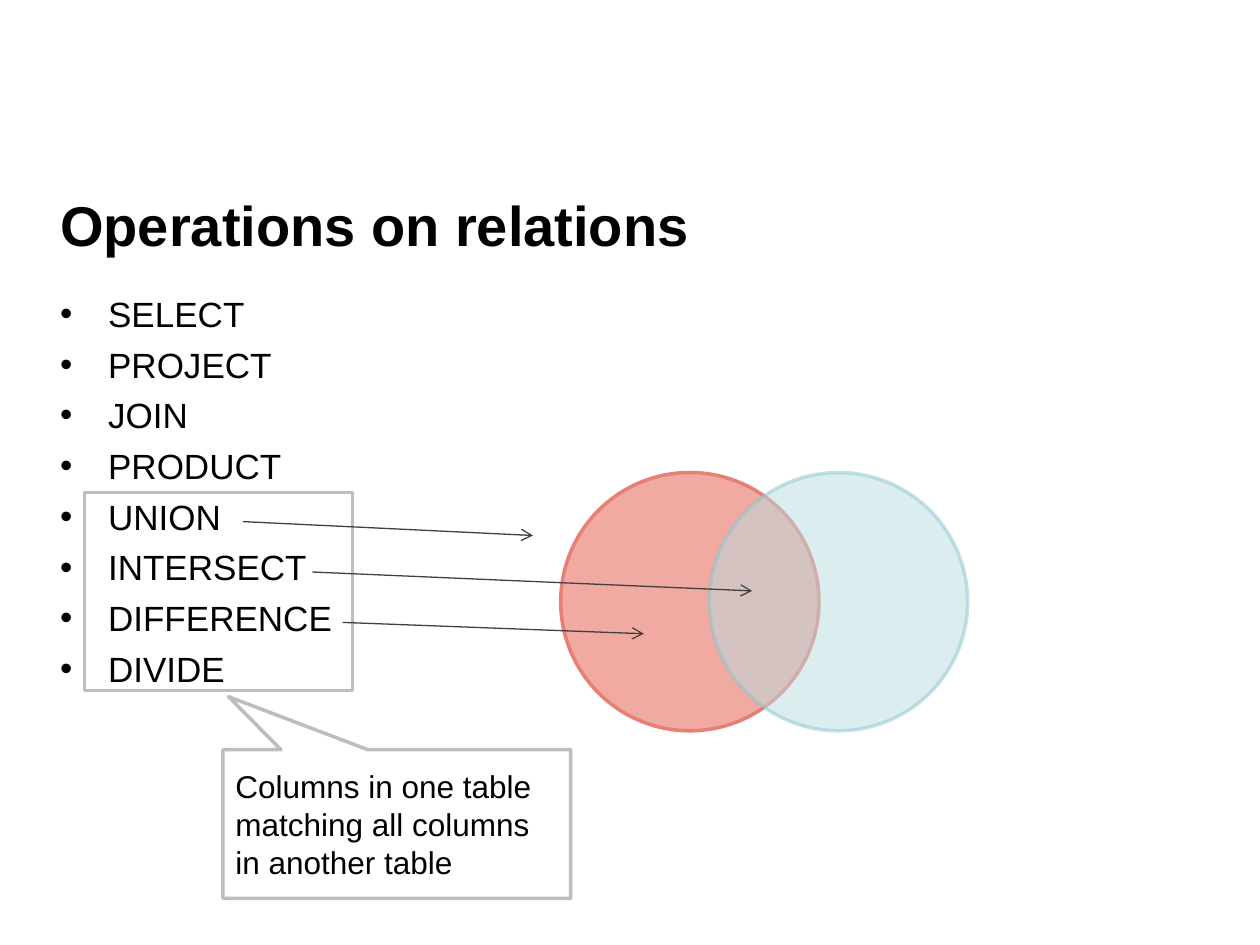
"""Build the slide on operations on relations, with a Venn diagram and a callout."""
from dataclasses import dataclass
from typing import Optional

import lxml.etree
import pptx
import pptx.dml.color
import pptx.enum.shapes
import pptx.enum.text
import pptx.oxml.ns
import pptx.util

Inches = pptx.util.Inches
Pt = pptx.util.Pt
RGBColor = pptx.dml.color.RGBColor
MSO_SHAPE = pptx.enum.shapes.MSO_SHAPE
MSO_ANCHOR = pptx.enum.text.MSO_ANCHOR
PP_ALIGN = pptx.enum.text.PP_ALIGN
qn = pptx.oxml.ns.qn

BLACK = RGBColor(0x00, 0x00, 0x00)
GREY = RGBColor(0xBD, 0xBD, 0xBD)
DARK = RGBColor(0x40, 0x40, 0x40)
CORAL = RGBColor(0xF0, 0xAA, 0xA2)
CORAL_EDGE = RGBColor(0xE8, 0x7F, 0x74)
TEAL = RGBColor(0xBA, 0xDD, 0xE1)
TEAL_EDGE = RGBColor(0x8A, 0xC6, 0xCD)

TITLE_FONT = {"name": "Arial", "size": Pt(32), "bold": True}
BODY_FONT = {"name": "Arial", "size": Pt(20)}
CALLOUT_FONT = {"name": "Arial", "size": Pt(18)}

OPERATIONS = ["SELECT", "PROJECT", "JOIN", "PRODUCT",
              "UNION", "INTERSECT", "DIFFERENCE", "DIVIDE"]


@dataclass
class Box:
    kind: int
    left: float
    top: float
    width: float
    height: float
    edge: RGBColor
    fill: Optional[RGBColor] = None
    opacity: int = 100


@dataclass
class Arrow:
    x1: float
    y1: float
    x2: float
    y2: float


GROUP = Box(MSO_SHAPE.RECTANGLE, 0.67, 3.91, 2.13, 1.57, GREY)
CIRCLES = [
    Box(MSO_SHAPE.OVAL, 4.45, 3.75, 2.05, 2.05, CORAL_EDGE, CORAL),
    Box(MSO_SHAPE.OVAL, 5.63, 3.75, 2.05, 2.05, TEAL_EDGE, TEAL, 50),
]
ARROWS = [
    Arrow(2.48, 4.54, 5.97, 4.69),
    Arrow(2.72, 4.94, 5.11, 5.03),
    Arrow(1.93, 4.14, 4.23, 4.25),
]
CALLOUT = Box(MSO_SHAPE.RECTANGULAR_CALLOUT, 1.77, 5.95, 2.76, 1.18, GREY)


def write(p, text: str, font: dict) -> None:
    """Add a black run to a left-aligned paragraph."""
    p.alignment = PP_ALIGN.LEFT
    r = p.add_run()
    r.text = text
    for name, value in font.items():
        setattr(r.font, name, value)
    r.font.color.rgb = BLACK


def add_text_frame(s, left: float, top: float, width: float, height: float):
    """Add a wrapping text box and return its text frame."""
    sp = s.shapes.add_textbox(Inches(left), Inches(top), Inches(width), Inches(height))
    tf = sp.text_frame
    tf.word_wrap = True
    return tf


def add_bullet(p) -> None:
    """Give a paragraph a hanging bullet."""
    pPr = p._p.get_or_add_pPr()
    pPr.set("marL", str(Inches(0.38)))
    pPr.set("indent", str(-Inches(0.38)))
    lxml.etree.SubElement(pPr, qn("a:buFont"), typeface="Arial")
    lxml.etree.SubElement(pPr, qn("a:buChar"), char="•")


def add_box(s, box: Box):
    """Draw an outlined shape with an optional, possibly translucent, fill."""
    sp = s.shapes.add_shape(box.kind, Inches(box.left), Inches(box.top),
                            Inches(box.width), Inches(box.height))
    sp.shadow.inherit = False
    sp.line.color.rgb = box.edge
    sp.line.width = Pt(2)
    if box.fill is None:
        sp.fill.background()
    else:
        sp.fill.solid()
        sp.fill.fore_color.rgb = box.fill
    if box.opacity < 100:
        for color in sp._element.spPr.iter(qn("a:srgbClr")):
            lxml.etree.SubElement(color, qn("a:alpha"), val=str(box.opacity * 1000))
    return sp


def add_arrow(s, arrow: Arrow) -> None:
    """Draw a thin line with an open arrowhead at its end."""
    line = s.shapes.add_connector(
        pptx.enum.shapes.MSO_CONNECTOR.STRAIGHT,
        Inches(arrow.x1), Inches(arrow.y1), Inches(arrow.x2), Inches(arrow.y2))
    line.line.color.rgb = DARK
    line.line.width = Pt(0.75)
    lxml.etree.SubElement(line.line._get_or_add_ln(), qn("a:tailEnd"), type="arrow")
    lxml.etree.SubElement(line._element.spPr, qn("a:effectLst"))


def main() -> None:
    """Build and save the slide."""
    prs = pptx.Presentation()
    prs.slide_width, prs.slide_height = Inches(10), Inches(7.5)
    s = prs.slides.add_slide(prs.slide_layouts[6])

    tf = add_text_frame(s, 0.38, 1.4, 9.24, 0.76)
    tf.vertical_anchor = MSO_ANCHOR.MIDDLE
    write(tf.paragraphs[0], "Operations on relations", TITLE_FONT)

    tf = add_text_frame(s, 0.38, 2.27, 9.24, 4.62)
    for i, operation in enumerate(OPERATIONS):
        p = tf.add_paragraph() if i else tf.paragraphs[0]
        p.space_before = Pt(5)
        add_bullet(p)
        write(p, operation, BODY_FONT)

    for box in [GROUP, *CIRCLES]:
        add_box(s, box)
    for arrow in ARROWS:
        add_arrow(s, arrow)

    sp = add_box(s, CALLOUT)
    sp.adjustments[0], sp.adjustments[1] = -0.484, -0.857
    tf = sp.text_frame
    tf.word_wrap = True
    tf.vertical_anchor = MSO_ANCHOR.MIDDLE
    write(tf.paragraphs[0],
          "Columns in one table matching all columns in another table", CALLOUT_FONT)

    prs.save("out.pptx")


if __name__ == "__main__":
    main()
